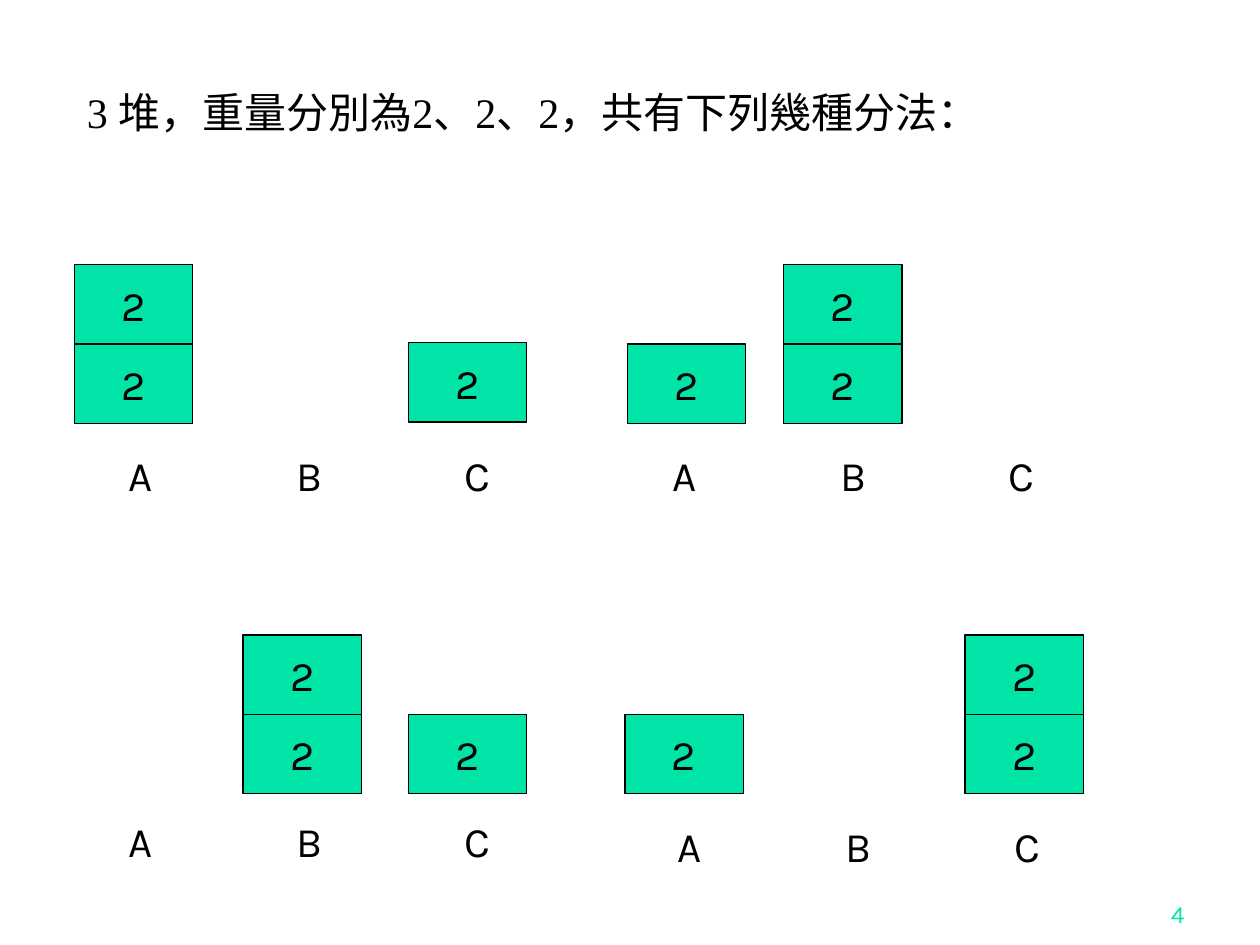
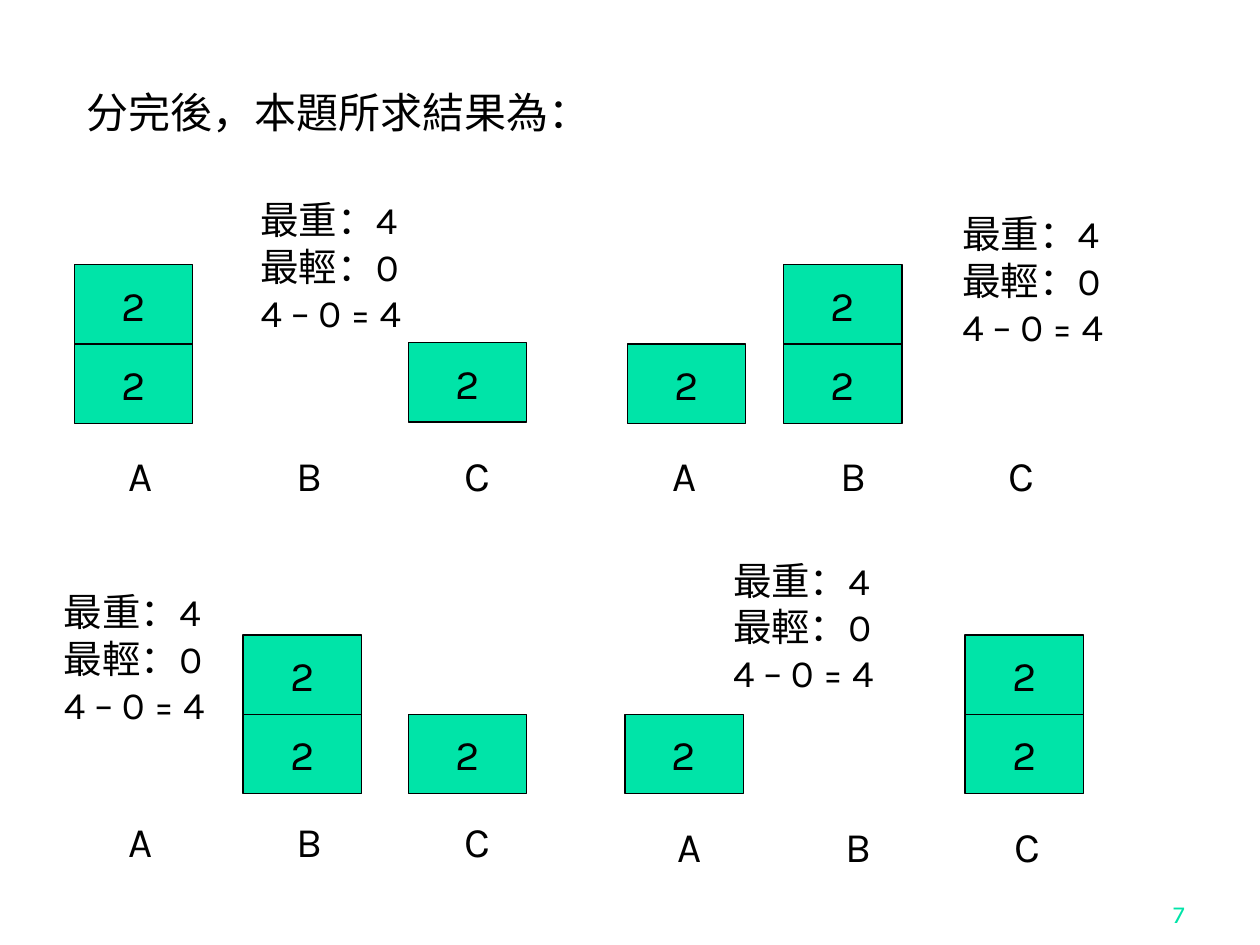
from dataclasses import dataclass

from lxml import etree
from pptx import Presentation
from pptx import util as u
from pptx.dml import color as clr
from pptx.enum import shapes as shp
from pptx.enum import text as txt
from pptx.oxml import ns
from pptx.shapes.autoshape import Shape
from pptx.slide import Slide

Pt = u.Pt


@dataclass(frozen=True)
class Theme:
    accent: clr.RGBColor = clr.RGBColor(0x00, 0xE4, 0xA8)
    ink: clr.RGBColor = clr.RGBColor(0, 0, 0)
    paper: clr.RGBColor = clr.RGBColor(255, 255, 255)
    head_font: str = "Times New Roman"
    font: str = "Karla"
    head_size: int = 24
    block_size: int = 24
    result_size: int = 22
    number_size: int = 14
    line: float = 0.75


@dataclass(frozen=True)
class Stack:
    left: float
    base: float
    count: int = 1


@dataclass(frozen=True)
class Split:
    label_left: float
    label_top: float
    stacks: tuple[Stack, ...]
    result_left: float
    result_top: float


@dataclass(frozen=True)
class Page:
    number: str
    heading: str
    show_results: bool


THEME = Theme()
BLOCK_W, BLOCK_H = 67.68, 45.36
LABEL_W, LABEL_H, LABEL_PITCH = 56.88, 36, 96.3
RESULT_W, RESULT_H = 138.96, 87.12
TOP_BASE, LOW_BASE = 241.92, 453.6
WEIGHT = "2"
RESULT = "最重：4\n最輕：0\n4 – 0 = 4"

SPLITS = (
    Split(51.84, 253.44, (Stack(42.48, TOP_BASE, 2), Stack(233.28, 241.2)), 141.84, 108.72),
    Split(362.88, 253.44, (Stack(447.84, TOP_BASE, 2), Stack(358.56, TOP_BASE)), 542.88, 116.64),
    Split(51.84, 462.24, (Stack(233.28, LOW_BASE), Stack(138.96, LOW_BASE, 2)), 29.52, 332.64),
    Split(365.76, 465.12, (Stack(357.12, LOW_BASE), Stack(551.52, LOW_BASE, 2)), 411.84, 314.64),
)

PAGES = (
    Page("4", "3 堆，重量分別為2、2、2，共有下列幾種分法：", False),
    Page("7", "分完後，本題所求結果為：", True),
)


def write(
    sp: Shape,
    text: str,
    *,
    size: float,
    font: str = THEME.font,
    color: clr.RGBColor = THEME.ink,
    align: txt.PP_ALIGN = txt.PP_ALIGN.LEFT,
    anchor: txt.MSO_ANCHOR = txt.MSO_ANCHOR.TOP,
    wrap: bool = True,
    fit: txt.MSO_AUTO_SIZE = txt.MSO_AUTO_SIZE.NONE,
) -> None:
    tf = sp.text_frame
    tf.text = text
    tf.word_wrap = wrap
    tf.auto_size = fit
    tf.vertical_anchor = anchor
    for p in tf.paragraphs:
        p.alignment = align
        for r in p.runs:
            r.font.size = Pt(size)
            r.font.name = font
            r.font.color.rgb = color


def add_text(s: Slide, text: str, left: float, top: float,
             width: float, height: float, **style) -> None:
    sp = s.shapes.add_textbox(Pt(left), Pt(top), Pt(width), Pt(height))
    write(sp, text, **style)


def add_heading(s: Slide, text: str) -> None:
    title, body = s.placeholders
    title.element.getparent().remove(title.element)
    body.left, body.top = Pt(42.48), Pt(48.96)
    body.width, body.height = Pt(629.28), Pt(437.04)
    write(body, text, size=THEME.head_size, font=THEME.head_font)
    p = body.text_frame.paragraphs[0]
    p.line_spacing = 0.9
    p.space_before = Pt(0)
    pr = p._p.get_or_add_pPr()
    pr.set("marL", "0")
    pr.set("indent", "0")
    etree.SubElement(pr, ns.qn("a:buNone"))


def add_stack(s: Slide, stack: Stack) -> None:
    for level in range(1, stack.count + 1):
        sp = s.shapes.add_shape(
            shp.MSO_SHAPE.RECTANGLE, Pt(stack.left), Pt(stack.base - level * BLOCK_H),
            Pt(BLOCK_W), Pt(BLOCK_H))
        sp.shadow.inherit = False
        sp.fill.solid()
        sp.fill.fore_color.rgb = THEME.accent
        sp.line.color.rgb = THEME.ink
        sp.line.width = Pt(THEME.line)
        write(sp, WEIGHT, size=THEME.block_size, align=txt.PP_ALIGN.CENTER,
              anchor=txt.MSO_ANCHOR.MIDDLE, wrap=False)


def add_split(s: Slide, split: Split) -> None:
    for stack in split.stacks:
        add_stack(s, stack)
    for i, name in enumerate("ABC"):
        add_text(s, name, split.label_left + i * LABEL_PITCH, split.label_top,
                 LABEL_W, LABEL_H, size=THEME.block_size, align=txt.PP_ALIGN.CENTER,
                 anchor=txt.MSO_ANCHOR.MIDDLE, fit=txt.MSO_AUTO_SIZE.SHAPE_TO_FIT_TEXT)


def add_page(prs: Presentation, page: Page) -> None:
    s = prs.slides.add_slide(prs.slide_layouts[1])
    s.background.fill.solid()
    s.background.fill.fore_color.rgb = THEME.paper
    add_text(s, page.number, 534.24, 498.24, 149.76, 36, size=THEME.number_size,
             color=THEME.accent, align=txt.PP_ALIGN.RIGHT, anchor=txt.MSO_ANCHOR.BOTTOM)
    add_heading(s, page.heading)
    for split in SPLITS:
        add_split(s, split)
    if page.show_results:
        for split in SPLITS:
            add_text(s, RESULT, split.result_left, split.result_top, RESULT_W, RESULT_H,
                     size=THEME.result_size, fit=txt.MSO_AUTO_SIZE.SHAPE_TO_FIT_TEXT)


def main() -> None:
    prs = Presentation()
    prs.slide_width, prs.slide_height = Pt(720), Pt(540)
    for page in PAGES:
        add_page(prs, page)
    prs.save("out.pptx")


if __name__ == "__main__":
    main()
